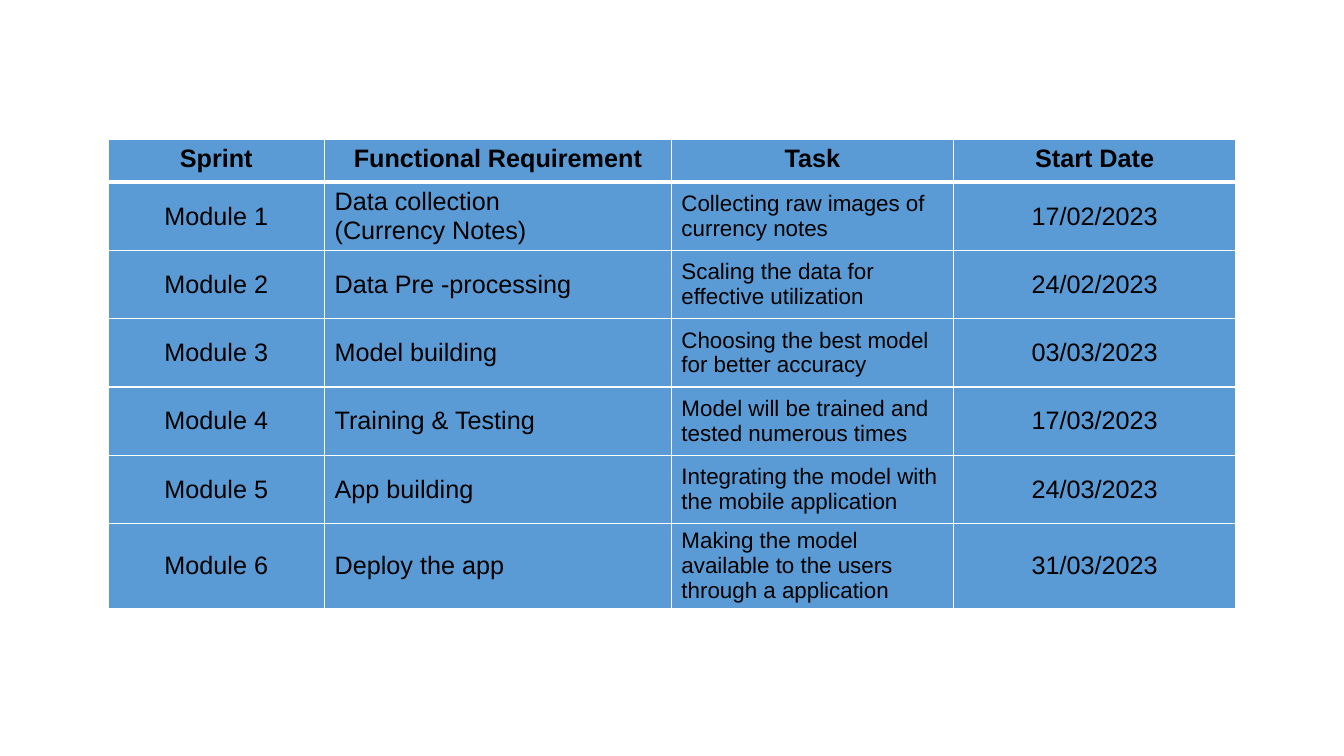
from lxml import etree
from pptx import Presentation
from pptx.dml.color import RGBColor
from pptx.enum.text import MSO_ANCHOR, PP_ALIGN
from pptx.oxml.ns import qn
from pptx.util import Cm, Pt

CENTER, LEFT = PP_ALIGN.CENTER, PP_ALIGN.LEFT
TOP, MIDDLE = MSO_ANCHOR.TOP, MSO_ANCHOR.MIDDLE

COLORS = {"cell": "5B9BD5", "border": "FFFFFF", "text": "000000"}
FONT = "Arial"

HEADINGS = ["Sprint", "Functional Requirement", "Task", "Start Date"]
MODULES = [
    ("Data collection\n(Currency Notes)", "Collecting raw images of currency notes", "17/02/2023"),
    ("Data Pre -processing", "Scaling the data for effective utilization", "24/02/2023"),
    ("Model building", "Choosing the best model for better accuracy", "03/03/2023"),
    ("Training & Testing", "Model will be trained and tested numerous times", "17/03/2023"),
    ("App building", "Integrating the model with the mobile application", "24/03/2023"),
    ("Deploy the app", "Making the model available to the users through a application", "31/03/2023"),
]
COLUMN_WIDTHS = [5.46, 8.74, 7.11, 7.11]
COLUMN_ALIGNS = [CENTER, LEFT, LEFT, CENTER]
COLUMN_SIZES = [18, 18, 16, 18]
HEADER_HEIGHT, MODULE_HEIGHT = 1.07, 1.72


def write_text(frame, text, size=18, bold=False, align=LEFT, color="text"):
    for index, line in enumerate(text.split("\n")):
        paragraph = frame.add_paragraph() if index else frame.paragraphs[0]
        paragraph.alignment = align
        run = paragraph.add_run()
        run.text = line
        run.font.name = FONT
        run.font.size = Pt(size)
        run.font.bold = bold
        run.font.color.rgb = RGBColor.from_string(COLORS[color])


class SprintSlide:
    def __init__(self, presentation):
        self.slide = presentation.slides.add_slide(presentation.slide_layouts[6])

    def border(self, cell, side, width):
        properties = cell._tc.get_or_add_tcPr()
        line = etree.SubElement(properties, qn(f"a:ln{side}"), w=str(Pt(width)))
        fill = etree.SubElement(line, qn("a:solidFill"))
        etree.SubElement(fill, qn("a:srgbClr"), val=COLORS["border"])

    def cell(self, cell, text, anchor, top_border=1, bottom_border=1, **text_format):
        for side, width in zip("LRTB", (1, 1, top_border, bottom_border)):
            self.border(cell, side, width)
        cell.fill.solid()
        cell.fill.fore_color.rgb = RGBColor.from_string(COLORS["cell"])
        cell.vertical_anchor = anchor
        write_text(cell.text_frame, text, **text_format)

    def schedule(self, left, top):
        heights = [HEADER_HEIGHT] + [MODULE_HEIGHT] * len(MODULES)
        schedule = self.slide.shapes.add_table(
            len(heights), len(HEADINGS), Cm(left), Cm(top),
            Cm(sum(COLUMN_WIDTHS)), Cm(sum(heights)),
        ).table
        schedule.horz_banding = False
        for column, width in zip(schedule.columns, COLUMN_WIDTHS):
            column.width = Cm(width)
        for row, height in zip(schedule.rows, heights):
            row.height = Cm(height)
        for column, heading in enumerate(HEADINGS):
            self.cell(schedule.cell(0, column), heading, TOP,
                      bottom_border=3, bold=True, align=CENTER)
        for number, module in enumerate(MODULES, start=1):
            for column, text in enumerate((f"Module {number}", *module)):
                self.cell(schedule.cell(number, column), text, MIDDLE,
                          top_border=3 if number == 1 else 1,
                          size=COLUMN_SIZES[column], align=COLUMN_ALIGNS[column])


def main():
    presentation = Presentation()
    presentation.slide_width = Cm(33.87)
    presentation.slide_height = Cm(19.05)
    SprintSlide(presentation).schedule(2.72, 3.52)
    presentation.save("out.pptx")


if __name__ == "__main__":
    main()
